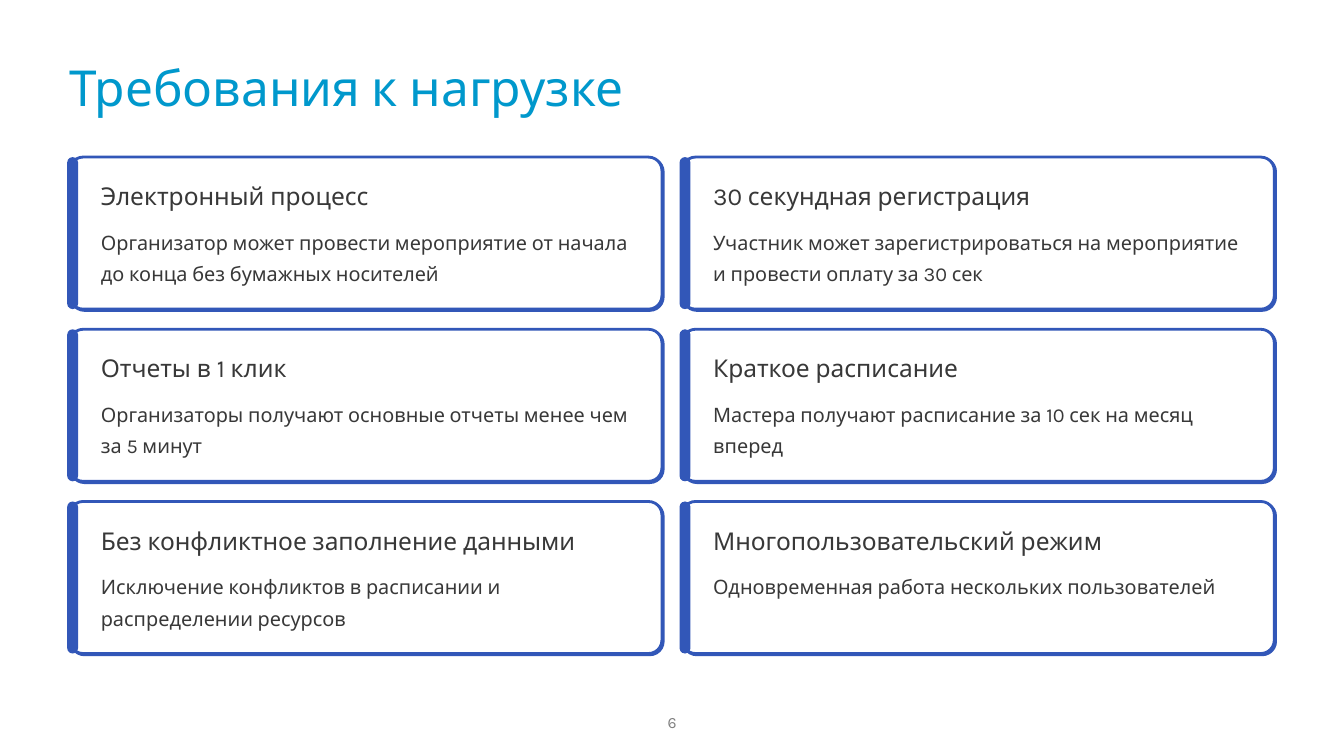
from lxml import etree
from pptx import Presentation
from pptx.dml.color import RGBColor
from pptx.enum.shapes import MSO_SHAPE
from pptx.enum.text import PP_ALIGN
from pptx.oxml.ns import qn
from pptx.util import Inches, Pt

ROUNDED = MSO_SHAPE.ROUNDED_RECTANGLE
LEFT, CENTER = PP_ALIGN.LEFT, PP_ALIGN.CENTER
FONT = "Karla"
COLORS = {
    "background": "FFFFFF",
    "title": "0098CC",
    "accent": "3257B8",
    "body": "383838",
    "page": "808080",
}

# Margins and card grid, in inches
MARGIN, CONTENT_W = 0.83, 14.34
GRID_TOP, COLUMNS = 1.87, 2
CARD_W, CARD_H = 7.05, 1.81
GAP = 0.24

# Heading, heading width, description
CARDS = [
    ("Электронный процесс", 3.22,
     "Организатор может провести мероприятие от начала до конца без бумажных носителей"),
    ("30 секундная регистрация", 3.84,
     "Участник может зарегистрироваться на мероприятие и провести оплату за 30 сек"),
    ("Отчеты в 1 клик", 2.97,
     "Организаторы получают основные отчеты менее чем за 5 минут"),
    ("Краткое расписание", 2.97,
     "Мастера получают расписание за 10 сек на месяц вперед"),
    ("Без конфликтное заполнение данными", 5.7,
     "Исключение конфликтов в расписании и распределении ресурсов"),
    ("Многопользовательский режим", 4.67,
     "Одновременная работа нескольких пользователей"),
]


def color(name):
    return RGBColor.from_string(COLORS[name])


def add_text(slide, box, text, size, spacing, color_name, align=LEFT, wrap=False):
    frame = slide.shapes.add_textbox(*map(Inches, box)).text_frame
    frame.margin_left = frame.margin_right = 0
    frame.margin_top = frame.margin_bottom = 0
    frame.word_wrap = wrap
    paragraph = frame.paragraphs[0]
    paragraph.alignment = align
    paragraph.line_spacing = Pt(spacing)
    run = paragraph.add_run()
    run.text = text
    run.font.name = FONT
    run.font.size = Pt(size)
    run.font.color.rgb = color(color_name)


def add_rounded(slide, box, radius, fill):
    shape = slide.shapes.add_shape(ROUNDED, *map(Inches, box))
    shape.adjustments[0] = radius
    shape.shadow.inherit = False
    shape.fill.solid()
    shape.fill.fore_color.rgb = color(fill)
    shape.line.fill.background()
    return shape


def add_hard_shadow(shape):
    effects = shape._element.spPr.find(qn("a:effectLst"))
    shadow = etree.SubElement(effects, qn("a:outerShdw"), blurRad="0",
                              dist=str(Pt(1.6)), dir=str(45 * 60000),
                              algn="tl", rotWithShape="0")
    etree.SubElement(shadow, qn("a:srgbClr"), val=COLORS["accent"])


def add_card(slide, box, heading, heading_width, description):
    left, top, width, height = box

    # Outlined panel
    panel = add_rounded(slide, box, 0.088, "background")
    panel.line.color.rgb = color("accent")
    panel.line.width = Pt(2.4)
    add_hard_shadow(panel)

    # Accent bar on the left edge
    add_rounded(slide, (left - 0.03, top, 0.13, height), 0.5, "accent")

    # Heading and description
    text_left = left + 0.37
    add_text(slide, (text_left, top + 0.27, heading_width, 0.37),
             heading, 21, 26.5, "body")
    add_text(slide, (text_left, top + 0.78, width - 0.64, 0.76),
             description, 17, 27, "body", wrap=True)


def add_card_grid(slide, left, top):
    for index, card in enumerate(CARDS):
        row, column = divmod(index, COLUMNS)
        box = (left + column * (CARD_W + GAP), top + row * (CARD_H + GAP),
               CARD_W, CARD_H)
        add_card(slide, box, *card)


def main():
    presentation = Presentation()
    presentation.slide_width = Inches(16)
    presentation.slide_height = Inches(9)
    slide = presentation.slides.add_slide(presentation.slide_layouts[6])
    slide.background.fill.solid()
    slide.background.fill.fore_color.rgb = color("background")

    # Title
    add_text(slide, (MARGIN, 0.65, 6.63, 0.74), "Требования к нагрузке",
             42.5, 53, "title")

    # Requirement cards
    add_card_grid(slide, MARGIN, GRID_TOP)

    # Page number
    add_text(slide, (MARGIN, 8.41, CONTENT_W, 0.3), "6", 13.5, 21.5, "page", CENTER)

    presentation.save("out.pptx")


if __name__ == "__main__":
    main()
